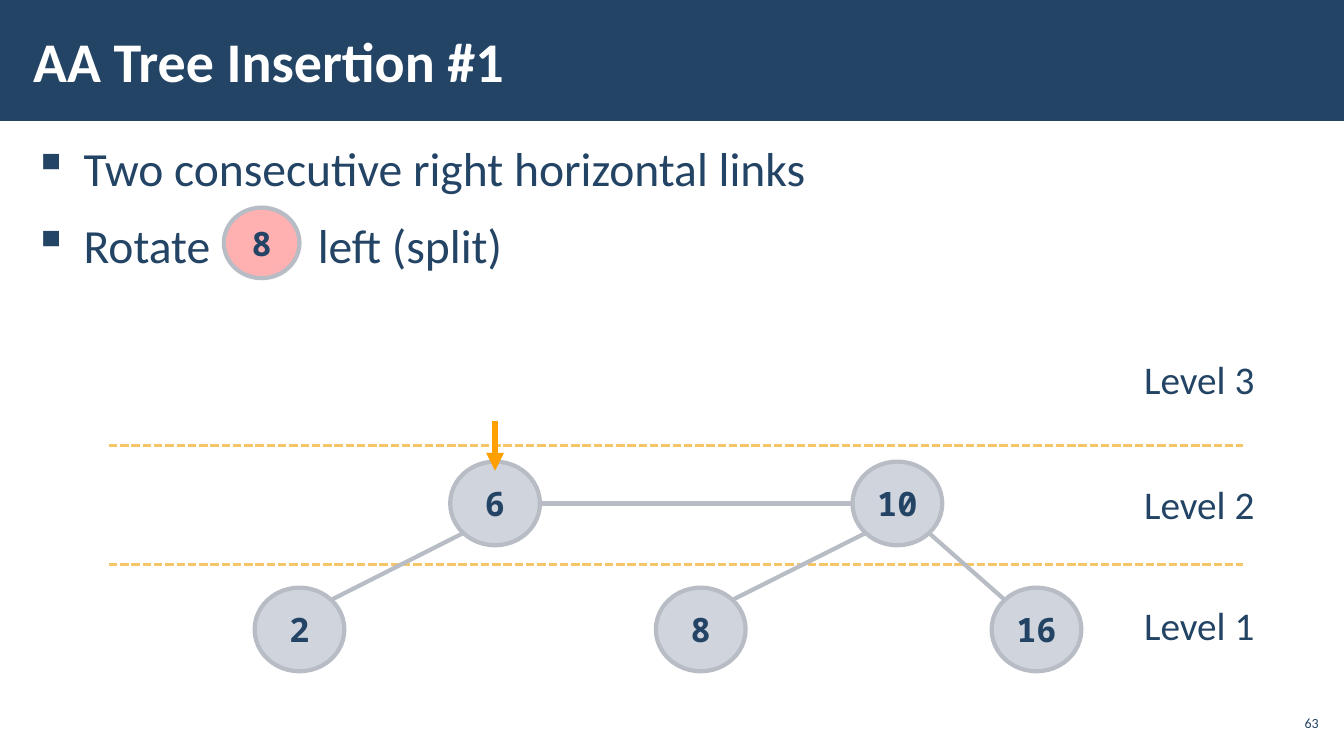
from math import sqrt

from lxml.etree import SubElement
from pptx import Presentation
from pptx.dml.color import RGBColor
from pptx.enum.dml import MSO_LINE_DASH_STYLE as Dash
from pptx.enum.shapes import MSO_CONNECTOR as Connector, MSO_SHAPE as Preset
from pptx.enum.text import MSO_ANCHOR as Anchor, PP_ALIGN as Align
from pptx.oxml.ns import qn
from pptx.util import Inches, Pt

COLORS = {
    "navy": "234465",
    "white": "FFFFFF",
    "node": "A3ABBC",
    "outline": "B8BCC4",
    "rotated": "FFB0B0",
    "level": "F5C567",
    "pointer": "FFA000",
}
BODY_FONT, NODE_FONT = "Calibri", "Noto Sans Mono"
NODE_WIDTH, NODE_HEIGHT = 0.89, 0.83


def rgb(name):
    return RGBColor.from_string(COLORS[name])


def add_run(paragraph, text, size, color="navy", bold=False, font=BODY_FONT):
    run = paragraph.add_run()
    run.text = text
    run.font.name, run.font.size, run.font.bold = font, Pt(size), bold
    run.font.color.rgb = rgb(color)
    return run


def add_text_frame(slide, box, margins=(0.1, 0.05), anchor=Anchor.TOP, wrap=True):
    frame = slide.shapes.add_textbox(*map(Inches, box)).text_frame
    frame.word_wrap, frame.vertical_anchor = wrap, anchor
    frame.margin_left = frame.margin_right = Inches(margins[0])
    frame.margin_top = frame.margin_bottom = Inches(margins[1])
    return frame


def add_shape(slide, preset, box, fill):
    shape = slide.shapes.add_shape(preset, *map(Inches, box))
    shape.shadow.inherit = False
    shape.fill.solid()
    shape.fill.fore_color.rgb = rgb(fill)
    return shape


def add_line(slide, start, end, color, width, dash=None, arrow=False):
    line = slide.shapes.add_connector(Connector.STRAIGHT, *map(Inches, (*start, *end)))
    line.line.color.rgb = rgb(color)
    line.line.width = Pt(width)
    if dash:
        line.line.dash_style = dash
    if arrow:
        SubElement(line.line._get_or_add_ln(), qn("a:tailEnd"), type="triangle")
    SubElement(line._element.spPr, qn("a:effectLst"))


def add_node(slide, box, key, fill="node", alpha=None):
    node = add_shape(slide, Preset.OVAL, box, fill)
    node.line.color.rgb = rgb("outline")
    node.line.width = Pt(3)
    if alpha:
        color = node._element.spPr.find(qn("a:solidFill"))[0]
        SubElement(color, qn("a:alpha"), val=str(alpha * 1000))
    frame = node.text_frame
    frame.word_wrap, frame.vertical_anchor = False, Anchor.MIDDLE
    paragraph = frame.paragraphs[0]
    paragraph.alignment = Align.CENTER
    add_run(paragraph, key, 24, bold=True, font=NODE_FONT)


def add_header(slide, box):
    left, top, width, height = box
    band = add_shape(slide, Preset.RECTANGLE, box, "navy")
    band.line.fill.background()
    title_box = (left + 0.21, top + 0.11, width - 2.93, height - 0.23)
    frame = add_text_frame(slide, title_box, (0.12, 0.04), Anchor.MIDDLE)
    add_run(frame.paragraphs[0], "AA Tree Insertion #1", 40, "white", bold=True)


def add_bullet(paragraph):
    paragraph.line_spacing = 1.05
    paragraph.space_before = paragraph.space_after = Pt(6)
    properties = paragraph._p.get_or_add_pPr()
    properties.set("marL", str(Inches(0.5)))
    properties.set("indent", str(-Inches(0.5)))
    SubElement(properties, qn("a:buChar"), char="▪")


def add_steps(slide, box):
    left, top, width, height = box
    frame = add_text_frame(slide, box, (0.12, 0.04))
    links, rotation = frame.paragraphs[0], frame.add_paragraph()
    add_bullet(links)
    add_bullet(rotation)
    add_run(links, "Two consecutive right horizontal links", 34)

    # One widened space leaves room for the inline node
    add_run(rotation, "Rotate", 34)
    gap = add_run(rotation, " ", 34)
    gap.font._element.set("spc", "6900")
    add_run(rotation, "left (split)", 34)
    add_node(slide, (left + 2.01, top + 0.75, 0.75, 0.7), "8", "rotated")


def add_levels(slide, box):
    left, top, width, height = box
    for offset in (height, 0):
        y = top + offset
        add_line(slide, (left, y), (left + width, y), "level", 2, Dash.SQUARE_DOT)
    for level, offset in ((1, 1.5), (2, 0.3), (3, -0.94)):
        label_box = (left + width - 1.08, top + offset, 1.31, 0.57)
        frame = add_text_frame(slide, label_box, wrap=False)
        add_run(frame.paragraphs[0], f"Level {level}", 28)


def add_tree(slide, box):
    left, top, width, height = box
    upper, lower = top + NODE_HEIGHT / 2, top + height - NODE_HEIGHT / 2
    # Node centres, as offsets from the left edge of the tree
    offsets = {"6": 2.39, "10": 6.38, "2": 0.45, "8": 4.43, "16": 7.76}
    centers = {key: (left + x, upper if key in ("6", "10") else lower)
               for key, x in offsets.items()}
    for key, (x, y) in centers.items():
        node_box = (x - NODE_WIDTH / 2, y - NODE_HEIGHT / 2, NODE_WIDTH, NODE_HEIGHT)
        add_node(slide, node_box, key, alpha=50)

    # Downward links join the diagonal points of the ellipses
    dx, dy = NODE_WIDTH / 2 / sqrt(2), NODE_HEIGHT / 2 / sqrt(2)
    for parent, child in (("6", "2"), ("10", "8"), ("10", "16")):
        (px, py), (cx, cy) = centers[parent], centers[child]
        side = 1 if cx > px else -1
        add_line(slide, (px + side * dx, py + dy), (cx - side * dx, cy - dy), "outline", 3)

    # Horizontal link and pointer to the root
    root_x, right_x = centers["6"][0], centers["10"][0]
    add_line(slide, (right_x - NODE_WIDTH / 2, upper), (root_x + NODE_WIDTH / 2, upper),
             "outline", 3)
    add_line(slide, (root_x, top - 0.4), (root_x, top + 0.09), "pointer", 4.25, arrow=True)


def add_slide_number(slide, box):
    paragraph = add_text_frame(slide, box, (0.04, 0.04), Anchor.MIDDLE).paragraphs[0]
    paragraph.alignment = Align.RIGHT
    add_run(paragraph, "63", 10)


def main():
    presentation = Presentation()
    presentation.slide_width, presentation.slide_height = Inches(13.33), Inches(7.5)
    slide = presentation.slides.add_slide(presentation.slide_layouts[6])
    add_header(slide, (0, 0, 13.33, 1.2))
    add_steps(slide, (0.21, 1.31, 12.92, 5.69))
    add_levels(slide, (1.08, 4.42, 11.25, 1.18))
    add_tree(slide, (2.52, 4.58, 8.2, 2.08))
    add_slide_number(slide, (12.65, 7, 0.47, 0.34))
    presentation.save("out.pptx")


if __name__ == "__main__":
    main()
